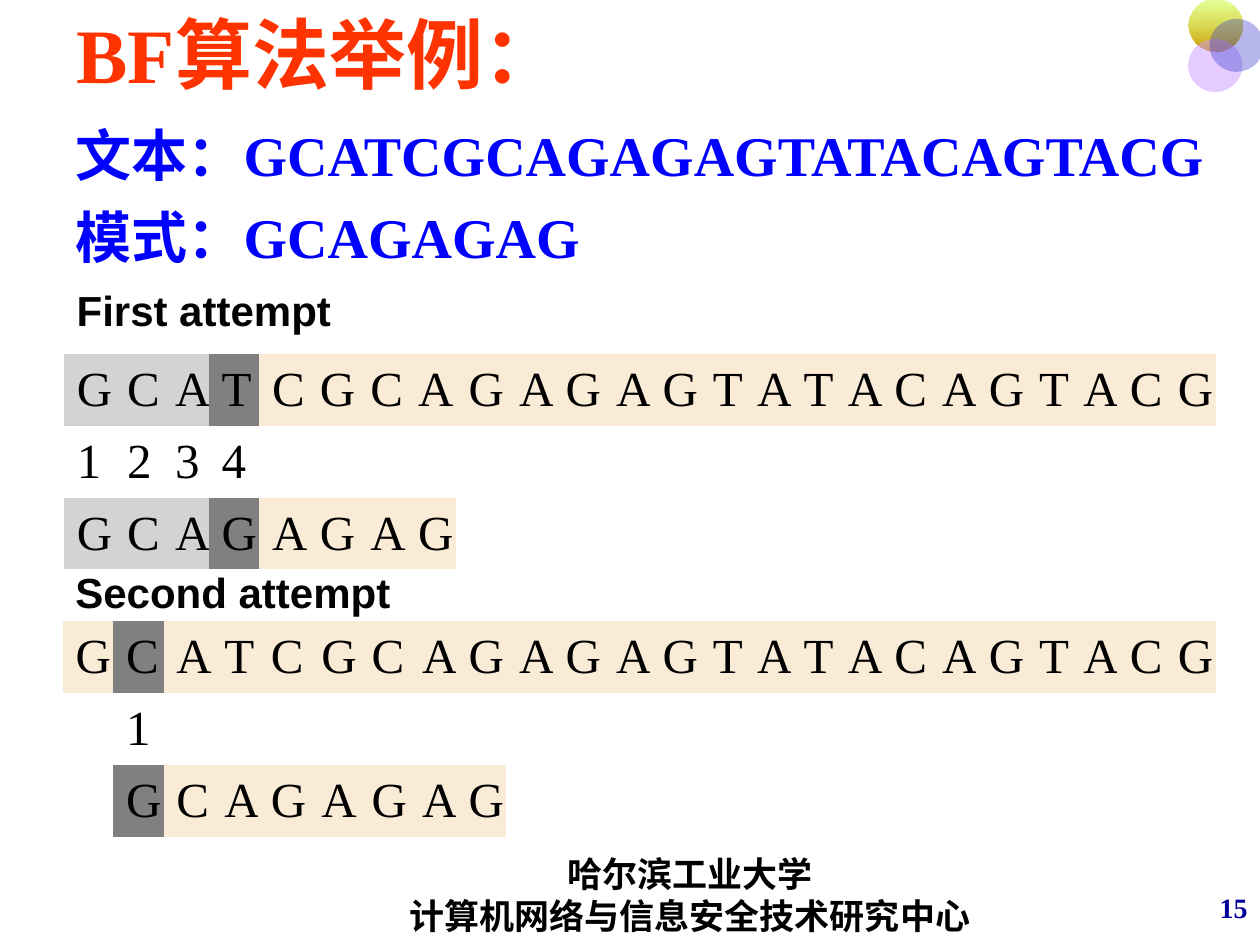
from lxml import etree
from pptx import Presentation
from pptx import util as u
from pptx.dml.color import RGBColor
from pptx.enum import shapes, text
from pptx.oxml.ns import qn

RED = RGBColor(0xFF, 0x33, 0x00)
BLUE = RGBColor(0x00, 0x00, 0xFF)
NAVY = RGBColor(0x00, 0x00, 0x99)
BLACK = RGBColor(0x00, 0x00, 0x00)
INK = RGBColor(0x03, 0x03, 0x01)
WHITE = RGBColor(0xFF, 0xFF, 0xFF)
CREAM = RGBColor(0xFA, 0xEB, 0xD7)
LIGHT = RGBColor(0xD3, 0xD3, 0xD3)
DARK = RGBColor(0x80, 0x80, 0x80)
LIME = RGBColor(0xCC, 0xFF, 0x33)
GOLD = RGBColor(0xCC, 0x99, 0x00)
LILAC = RGBColor(0xCC, 0x99, 0xFF)
INDIGO = RGBColor(0x33, 0x33, 0xCC)

SERIF, SANS = "Times New Roman", "Arial"
NO_GRID = "{2D5ABB26-0587-4C30-8999-92F81FD0307C}"
FILLS = {"l": LIGHT, "d": DARK, "c": CREAM, ".": WHITE}


def put(item, vals):
    for key, val in vals.items():
        setattr(item, key, val)


class Deck:
    def __init__(self):
        self.prs = Presentation()
        self.prs.slide_width, self.prs.slide_height = u.Inches(10), u.Inches(7.5)
        self.slide = self.prs.slides.add_slide(self.prs.slide_layouts[6])

    def font(self, para, size, color, face=SERIF, bold=True):
        put(para.font, {"size": u.Pt(size), "name": face, "bold": bold})
        para.font.color.rgb = color

    def label(self, box, lines, size, color, face=SERIF, align="LEFT",
              anchor="MIDDLE", wrap=True, gap=0, hang=0):
        frame = self.slide.shapes.add_textbox(*map(u.Inches, box)).text_frame
        put(frame, {"word_wrap": wrap,
                    "vertical_anchor": getattr(text.MSO_ANCHOR, anchor)})
        for i, line in enumerate(lines):
            para = frame.add_paragraph() if i else frame.paragraphs[0]
            para.text = line
            para.alignment = getattr(text.PP_ALIGN, align)
            if i and gap:
                para.space_before = u.Pt(gap)
            if hang:
                props = para._p.get_or_add_pPr()
                props.set("marL", str(u.Inches(hang)))
                props.set("indent", str(-u.Inches(hang)))
            self.font(para, size, color, face)

    def disc(self, left, top, color, alpha, end=None):
        box = map(u.Inches, (left, top, 0.43, 0.42))
        disc = self.slide.shapes.add_shape(shapes.MSO_SHAPE.OVAL, *box)
        disc.shadow.inherit = False
        disc.line.fill.background()
        if end:
            disc.fill.gradient()
            disc.fill.gradient_angle = 270
            for stop, tone in zip(disc.fill.gradient_stops, (color, end)):
                stop.color.rgb = tone
        else:
            disc.fill.solid()
            disc.fill.fore_color.rgb = color
        tone = next(disc._element.spPr.iter(qn("a:srgbClr")))
        etree.SubElement(tone, qn("a:alpha"), val=str(alpha * 1000))

    def grid(self, left, top, widths, rows):
        """Each row is its letters and its fill keys; the blank tail is merged."""
        high = 0.57
        frame = self.slide.shapes.add_table(
            len(rows), len(widths), u.Inches(left), u.Inches(top),
            u.Inches(sum(widths)), u.Inches(high * len(rows)))
        table = frame.table
        put(table, {"first_row": False, "horz_banding": False})
        table._tbl.tblPr.find(qn("a:tableStyleId")).text = NO_GRID
        for col, wide in zip(table.columns, widths):
            col.width = u.Inches(wide)
        for r, (chars, keys) in enumerate(rows):
            table.rows[r].height = u.Inches(high)
            for c in range(len(widths)):
                cell = table.cell(r, c)
                cell.vertical_anchor = text.MSO_ANCHOR.MIDDLE
                cell.fill.solid()
                cell.fill.fore_color.rgb = FILLS[keys[c] if c < len(keys) else "."]
                if c < len(chars) and chars[c] != " ":
                    para = cell.text_frame.paragraphs[0]
                    para.text = chars[c]
                    self.font(para, 28, BLACK, bold=False)
            if len(chars) < len(widths):
                table.cell(r, len(chars)).merge(table.cell(r, len(widths) - 1))


def main():
    deck = Deck()
    source, pattern = "GCATCGCAGAGAGTATACAGTACG", "GCAGAGAG"

    # Footer and page number
    deck.label((9.22, 6.95, 0.78, 0.5), ["15"], 16, NAVY, align="RIGHT")
    deck.label((2.56, 6.74, 5.83, 0.71),
               ["哈尔滨工业大学", "计算机网络与信息安全技术研究中心"],
               20, BLACK, align="CENTER", wrap=False)

    # Corner discs
    deck.disc(9.43, -0.01, LIME, 50, GOLD)
    deck.disc(9.43, 0.31, LILAC, 50)
    deck.disc(9.6, 0.15, INDIGO, 35)

    # Title, text and pattern
    deck.label((0.51, 0, 9, 0.84), ["BF算法举例："], 44, RED)
    deck.label((0.5, 0.91, 9.5, 5.78), [f"文本：{source}", f"模式：{pattern}"],
               32, BLUE, anchor="TOP", gap=8, hang=0.38)

    # Both attempts share the widths of the last columns
    tail = [0.37, 0.4, 0.37, 0.4, 0.35, 0.37, 0.35, 0.37, 0.38,
            0.37, 0.4, 0.35, 0.37, 0.38, 0.4]
    first = [0.4, 0.38, 0.37, 0.4, 0.38, 0.4, 0.38, 0.4, 0.4] + tail
    second = [0.4, 0.4, 0.38, 0.37, 0.4, 0.4, 0.4, 0.37, 0.4] + tail

    # First attempt: three matches, then a mismatch
    deck.label((0.51, 2.21, 2.29, 0.5), ["First attempt"], 24, INK, SANS, wrap=False)
    deck.grid(0.51, 2.81, first, [
        (source, "llld" + "c" * 20), ("1234", ""), (pattern, "llldcccc")])

    # Second attempt: pattern moved by one, mismatch at once
    deck.label((0.5, 4.45, 2.77, 0.5), ["Second attempt"], 24, INK, SANS, wrap=False)
    deck.grid(0.5, 4.93, second, [
        (source, "cd" + "c" * 22), (" 1", ""), (" " + pattern, ".dccccccc")])

    deck.prs.save("out.pptx")


if __name__ == "__main__":
    main()
